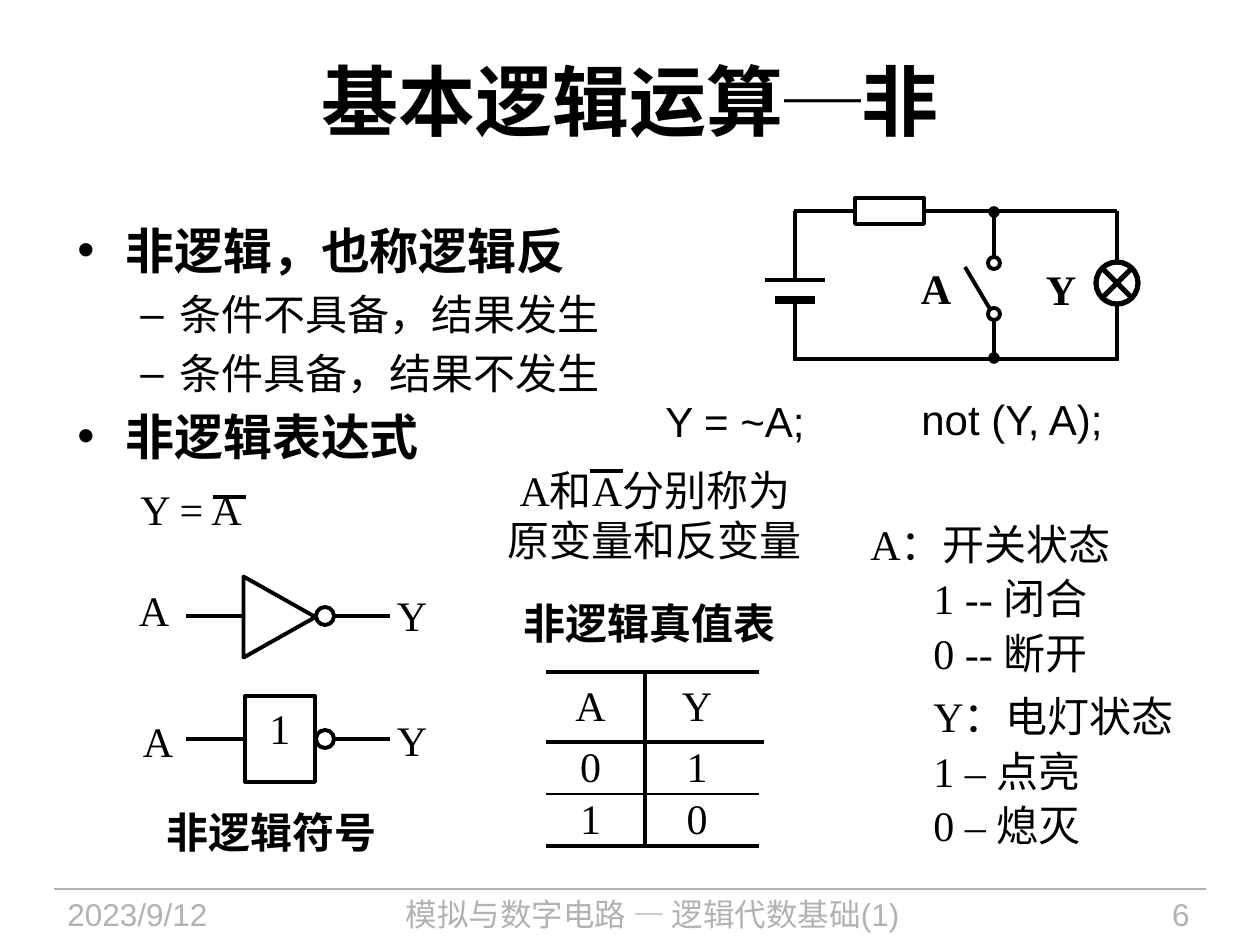
"""Builds a slide on the logical NOT operation."""
from lxml import etree
from pptx import Presentation
from pptx.dml.color import RGBColor
from pptx.enum.shapes import MSO_CONNECTOR, MSO_SHAPE
from pptx.enum.text import MSO_ANCHOR, PP_ALIGN
from pptx.oxml.ns import qn
from pptx.util import Emu, Pt

BLACK = RGBColor(0, 0, 0)
WHITE = RGBColor(255, 255, 255)
GRAY = RGBColor(0xB2, 0xB2, 0xB2)
SANS, SERIF = "Arial", "Times New Roman"
LEFT, CENTER, RIGHT = PP_ALIGN.LEFT, PP_ALIGN.CENTER, PP_ALIGN.RIGHT
MIDDLE = MSO_ANCHOR.MIDDLE
RECT, OVAL, TRIANGLE = MSO_SHAPE.RECTANGLE, MSO_SHAPE.OVAL, MSO_SHAPE.ISOSCELES_TRIANGLE
LAMP = MSO_SHAPE.FLOWCHART_SUMMING_JUNCTION
STRAIGHT = MSO_CONNECTOR.STRAIGHT


def px(n):
    return Emu(round(n * 914400 / 126))


def format_run(r, size, font, color=BLACK, bold=False):
    r.font.size = Pt(size)
    r.font.name = font
    r.font.bold = bold
    r.font.color.rgb = color


def add_text(shapes, box, text, size=24, font=SERIF, color=BLACK, bold=False,
             align=LEFT, inset=True, wrap=True, fill=None):
    s = shapes.add_textbox(*map(px, box))
    if fill is not None:
        s.fill.solid()
        s.fill.fore_color.rgb = fill
    tf = s.text_frame
    tf.word_wrap = wrap
    if not inset:
        tf.margin_left = tf.margin_right = tf.margin_top = tf.margin_bottom = 0
    tf.text = text
    for p in tf.paragraphs:
        p.alignment = align
        for r in p.runs:
            format_run(r, size, font, color, bold)
    return tf


def add_label(shapes, x, y, text, bold=False, spacing=0.9):
    tf = add_text(shapes, (x - 20, y, 40, 46), text, bold=bold, align=CENTER, inset=False)
    tf.paragraphs[0].line_spacing = spacing


def add_line(shapes, x1, y1, x2, y2, width=2.25, color=BLACK, end=None):
    c = shapes.add_connector(STRAIGHT, px(x1), px(y1), px(x2), px(y2))
    c.line.width = Pt(width)
    c.line.color.rgb = color
    if end:
        etree.SubElement(c.line._get_or_add_ln(), qn(f"a:{end}"), type="oval")
    etree.SubElement(c._element.spPr, qn("a:effectLst"))
    return c


def add_outline(shapes, kind, x, y, w, h, width=2.25, rotation=0):
    s = shapes.add_shape(kind, px(x), px(y), px(w), px(h))
    s.shadow.inherit = False
    s.fill.background()
    s.line.color.rgb = BLACK
    s.line.width = Pt(width)
    s.rotation = rotation
    return s


def indent(p, left, hang=0, bullet=None):
    pPr = p._p.get_or_add_pPr()
    pPr.set("marL", str(px(left)))
    pPr.set("indent", str(px(-hang)))
    if bullet:
        etree.SubElement(pPr, qn("a:buFont"), typeface=SANS)
        etree.SubElement(pPr, qn("a:buChar"), char=bullet)


def add_title(slide):
    s = slide.shapes.title
    s.left, s.top, s.width, s.height = map(px, (63, 21, 1134, 158))
    tf = s.text_frame
    tf.vertical_anchor = MIDDLE
    p = tf.paragraphs[0]
    p.alignment = CENTER
    for text, font in (("基本逻辑运算", SANS), ("─", SERIF), ("非", SANS)):
        r = p.add_run()
        r.text = text
        format_run(r, 44, font, bold=True)


def add_footer(shapes):
    add_line(shapes, 54, 889, 1206, 889, 0.75, GRAY)
    for x, w, text, align in ((55, 237, "2023/9/12", LEFT),
                              (315, 675, "模拟与数字电路 — 逻辑代数基础(1)", CENTER),
                              (1034, 168, "6", RIGHT)):
        add_text(shapes, (x, 889, w, 55), text, 18, SANS, GRAY, align=align)


def add_outline_list(shapes):
    lines = ["非逻辑，也称逻辑反", "条件不具备，结果发生", "条件具备，结果不发生",
             "非逻辑表达式", "Y = A"]
    tf = add_text(shapes, (65, 214, 655, 348), "\n".join(lines))
    for i, p in enumerate(tf.paragraphs):
        if i in (0, 3):
            indent(p, 48, 48, "•")
            format_run(p.runs[0], 28, SERIF, bold=True)
            p.space_after = Pt(5.6)
        else:
            indent(p, 102, 39, "–" if i < 4 else None)
            p.space_after = Pt(4.8)
    p.space_before = Pt(4.8)
    add_line(shapes, 213, 497, 246, 497)


def add_state_key(shapes):
    lines = ["A：开关状态", "1 -- 闭合", "0 -- 断开", "Y：电灯状态", "1 – 点亮", "0 – 熄灭"]
    tf = add_text(shapes, (858, 512, 343, 358), "\n".join(lines))
    for i, p in enumerate(tf.paragraphs):
        if i:
            indent(p, 63)
        if i == 3:
            p.space_before = Pt(4.8)
        p.space_after = Pt(2.4)


def set_border(cell, side, width=None):
    ln = etree.SubElement(cell._tc.get_or_add_tcPr(), qn(f"a:{side}"))
    if width is None:
        etree.SubElement(ln, qn("a:noFill"))
    else:
        ln.set("w", str(Pt(width)))
        fill = etree.SubElement(ln, qn("a:solidFill"))
        etree.SubElement(fill, qn("a:srgbClr"), val=str(BLACK))


def add_truth_table(shapes, rows):
    borders = [2.25, 1, 1, 2.25]
    table = shapes.add_table(3, 2, px(546), px(672), px(213), px(174)).table
    table.first_row = table.horz_banding = False
    for column, w in zip(table.columns, (89, 124)):
        column.width = px(w)
    for i, h in enumerate((70, 52, 52)):
        table.rows[i].height = px(h)
        for j, value in enumerate(rows[i]):
            cell = table.cell(i, j)
            cell.margin_left = cell.margin_right = cell.margin_top = cell.margin_bottom = 0
            cell.vertical_anchor = MIDDLE
            set_border(cell, "lnL")
            set_border(cell, "lnR")
            set_border(cell, "lnT", borders[i])
            set_border(cell, "lnB", borders[i + 1])
            cell.fill.background()
            cell.text = value
            p = cell.text_frame.paragraphs[0]
            p.alignment = CENTER
            for r in p.runs:
                format_run(r, 24, SERIF)


def add_circuit(shapes):
    resistor = add_outline(shapes, RECT, 855, 198, 69, 26)
    add_line(shapes, 794, 211, 855, 211).end_connect(resistor, 1)
    add_line(shapes, 924, 211, 1117, 211).begin_connect(resistor, 3)
    for wire in ((1117, 211, 1117, 264), (1117, 305, 1117, 358), (1119, 359, 793, 359),
                 (795, 211, 795, 280), (795, 300, 795, 359), (765, 280, 825, 280),
                 (990, 309, 965, 267)):
        add_line(shapes, *wire)
    add_line(shapes, 775, 300, 815, 300, 4.5)
    add_line(shapes, 994, 212, 994, 258, end="headEnd")
    add_line(shapes, 994, 318, 994, 358, end="tailEnd")
    for y in (257, 308):
        add_outline(shapes, OVAL, 988, y, 12, 12)
    add_outline(shapes, LAMP, 1096, 262, 42, 42, 3)
    add_label(shapes, 936, 262, "A", True, 1)
    add_label(shapes, 1061, 263, "Y", True, 1)


def add_gate(shapes, mid, a_x, a_y, y_y):
    add_label(shapes, a_x, a_y, "A")
    add_label(shapes, 412, y_y, "Y")
    add_line(shapes, 333, mid, 390, mid)
    add_outline(shapes, OVAL, 316, mid - 9, 18, 18)
    return add_line(shapes, 186, mid, 244, mid)


def main():
    prs = Presentation()
    prs.slide_width, prs.slide_height = px(1260), px(945)
    slide = prs.slides.add_slide(prs.slide_layouts[5])
    shapes = slide.shapes
    add_title(slide)
    add_footer(shapes)
    add_outline_list(shapes)
    add_circuit(shapes.add_group_shape().shapes)

    gate = shapes.add_group_shape().shapes
    add_outline(gate, TRIANGLE, 239, 581, 81, 72, rotation=90)
    add_gate(gate, 616, 154, 590, 595)
    gate = shapes.add_group_shape().shapes
    body = add_outline(gate, RECT, 245, 696, 70, 86)
    add_gate(gate, 739, 158, 721, 720).end_connect(body, 1)
    add_label(gate, 280, 708, "1")
    add_text(shapes, (154, 800, 243, 74), "非逻辑符号", bold=True)

    add_text(shapes, (511, 591, 278, 63), "非逻辑真值表", font=SANS, bold=True,
             wrap=False, fill=WHITE)
    for rows in (("AY", ("", ""), ("", "")), (("", ""), "01", "10")):
        add_truth_table(shapes, rows)
    add_line(shapes, 645, 846, 645, 672)
    add_line(shapes, 546, 742, 764, 742)
    naming = shapes.add_group_shape().shapes
    add_text(naming, (491, 458, 328, 113), "A和A分别称为原变量和反变量", align=CENTER, fill=WHITE)
    add_line(naming, 590, 471, 623, 471)
    add_state_key(shapes)
    for box, code in (((653, 389, 166, 64), "Y = ~A;"), ((909, 387, 208, 64), "not (Y, A);")):
        add_text(shapes, box, code, font=SANS, wrap=False, fill=WHITE)
    prs.save("out.pptx")


if __name__ == "__main__":
    main()
